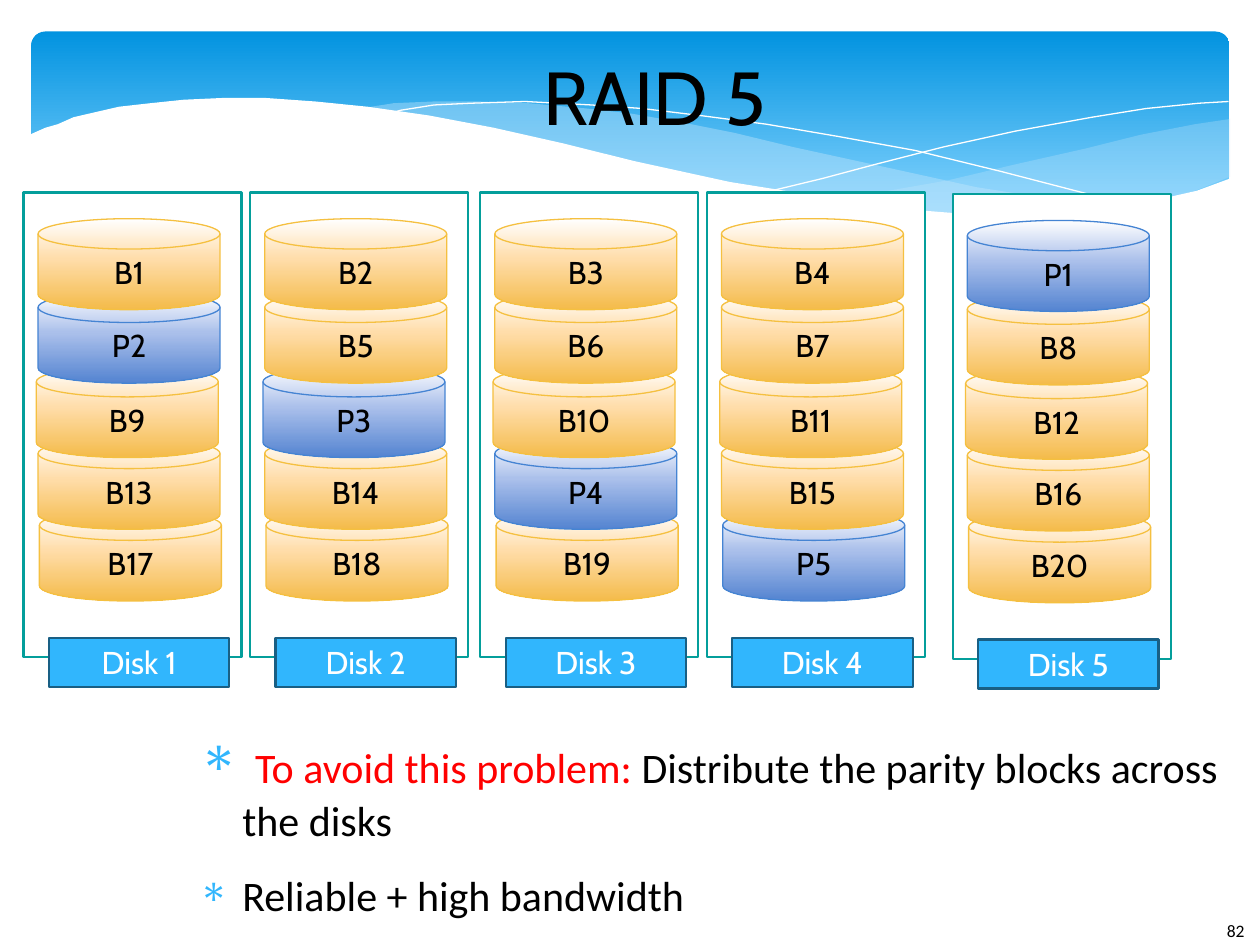
from lxml.etree import SubElement as Sub
from pptx import Presentation
from pptx.dml.color import RGBColor
from pptx.enum.shapes import MSO_SHAPE as Kind
from pptx.enum.text import MSO_ANCHOR as Anchor, PP_ALIGN as Align
from pptx.oxml.ns import qn
from pptx.util import Pt

rgb = RGBColor.from_string

deck = Presentation()
deck.slide_width, deck.slide_height = Pt(720), Pt(540)
slide = deck.slides.add_slide(deck.slide_layouts[6])
shapes = slide.shapes


def add(kind, x, y, w, h, fill, line=None, width=1.25, text="", ink="000000"):
    """Add a shape; fill is a hex string or a list of (percent, hex) stops."""
    box = shapes.add_shape(kind, Pt(x), Pt(y), Pt(w), Pt(h))
    box.shadow.inherit = False
    if isinstance(fill, str):
        box.fill.solid()
        box.fill.fore_color.rgb = rgb(fill)
    else:
        box.fill.gradient()
        box.fill.gradient_angle = 270
        stops = box.element.spPr.find(".//" + qn("a:gsLst"))
        stops.clear()
        for pos, tint in fill:
            stop = Sub(stops, qn("a:gs"), pos=str(pos * 1000))
            Sub(stop, qn("a:srgbClr"), val=tint)
    if line:
        box.line.color.rgb = rgb(line)
        box.line.width = Pt(width)
    else:
        box.line.fill.background()
    if text:
        frame = box.text_frame
        frame.vertical_anchor = Anchor.MIDDLE
        para = frame.paragraphs[0]
        para.text, para.alignment = text, Align.CENTER
        para.font.name, para.font.size = "Cabin", Pt(18)
        para.font.color.rgb = rgb(ink)
    return box


def write(x, y, w, h, inset=0):
    """Add an empty wrapping text box and return its frame."""
    frame = shapes.add_textbox(Pt(x), Pt(y), Pt(w), Pt(h)).text_frame
    frame.word_wrap = True
    frame.margin_left = frame.margin_right = Pt(inset)
    frame.margin_top = frame.margin_bottom = Pt(inset / 2)
    return frame


# Banner: blue panel, then waves as (points, fill, opacity in percent)
panel = add(Kind.ROUNDED_RECTANGLE, 18, 18, 684.5, 112.5,
            [(0, "0293E0"), (90, "83D3FE")])
panel.adjustments[0] = 0.07

waves = [
    ([(703, 68), (683, 71), (652, 77), (620, 85), (580, 94), (542, 103),
      (508, 109), (476, 115), (508, 119), (536, 122), (562, 124), (586, 124),
      (615, 122), (640, 120), (663, 115), (683, 109), (703, 101)],
     "C6E7FC", 29),
    ([(643, 120), (603, 114), (558, 107), (508, 96), (453, 84), (420, 76),
      (390, 70), (361, 65), (335, 62), (302, 59), (274, 58), (248, 58),
      (225, 59), (206, 62), (233, 65), (261, 70), (291, 76), (323, 84),
      (382, 97), (420, 105), (456, 112), (490, 117), (520, 121), (548, 123),
      (581, 125), (611, 124)], "C6E7FC", 40),
    ([(222, 65), (229, 63), (248, 60), (269, 59), (300, 58), (338, 60),
      (367, 62), (400, 66), (438, 71), (479, 78), (523, 86), (572, 98),
      (626, 112), (653, 120)], None, 0),
    ([(441, 109), (470, 102), (500, 94), (539, 84), (580, 75), (624, 67),
      (655, 62), (685, 59), (702, 58)], None, 0),
    ([(703, 102), (684, 109), (662, 114), (639, 120), (612, 122), (582, 123),
      (548, 122), (510, 119), (467, 112), (417, 104), (362, 92), (322, 82),
      (282, 73), (245, 66), (210, 61), (180, 58), (152, 56), (127, 56),
      (105, 57), (86, 59), (68, 61), (55, 64), (42, 67), (33, 71), (26, 73),
      (17, 77), (17, 161), (703, 161)], "FFFFFF", 100),
]
for dots, fill, alpha in waves:
    pen = shapes.build_freeform(*dots[0], scale=Pt(1))
    pen.add_line_segments(dots[1:], close=fill is not None)
    wave = pen.convert_to_shape()
    wave.shadow.inherit = False
    if fill:
        wave.fill.solid()
        wave.fill.fore_color.rgb = rgb(fill)
        wave.line.fill.background()
        tint = wave.element.spPr.find(".//" + qn("a:srgbClr"))
        Sub(tint, qn("a:alpha"), val=str(alpha * 1000))
    else:
        wave.fill.background()
        wave.line.color.rgb = rgb("FFFFFF")
        wave.line.width = Pt(0)

# Disks: each row holds four data blocks and one parity block
count = 5
lefts = [13.5, 143, 274.5, 404, 544.5]
tops = [110, 110, 110, 110, 111]
rows = [(8.25, 15), (8.25, 57), (7.25, 99.5), (8.25, 140.5), (9, 181.5)]
data = [(0, "FFFFFF"), (44, "FFDDAA"), (100, "F4BB4A")], "F5C040"
parity = [(0, "FFFFFF"), (44, "ABC0EB"), (100, "5484D1")], "4584D3"

for disk, (left, top) in enumerate(zip(lefts, tops)):
    add(Kind.FLOWCHART_PROCESS, left, top, 124.5, 265.5, "FFFFFF", "049E9B")
    for row in reversed(range(count)):
        dx, dy = rows[row]
        spot = (row - 1) % count
        if disk == spot:
            name, (fill, line) = f"P{row + 1}", parity
        else:
            num = row * (count - 1) + disk + 1 - (disk > spot)
            name, (fill, line) = f"B{num}", data
        add(Kind.FLOWCHART_MAGNETIC_DISK, left + dx, top + dy, 104, 52,
            fill, line, 0.75, name)
    add(Kind.FLOWCHART_PROCESS, left + 14.5, top + 254.5, 103, 28,
        "31B6FD", "195F84", text=f"Disk {disk + 1}", ink="FFFFFF")

# Title
frame = write(82, 18, 584, 73.5)
frame.vertical_anchor = Anchor.MIDDLE
para = frame.paragraphs[0]
para.text, para.alignment = "RAID 5", Align.CENTER
para.font.name, para.font.size = "Cabin", Pt(42.9)
para.font.color.rgb = rgb("000000")

# Points
points = [
    [(" ", 32, "000000"), ("To avoid this problem: ", 24, "FF0000"),
     ("Distribute the parity blocks across\vthe disks", 24, "000000")],
    [("Reliable + high bandwidth", 24, "000000")],
]
frame = write(104.5, 415.5, 631, 108.5)
for i, parts in enumerate(points):
    para = frame.add_paragraph() if i else frame.paragraphs[0]
    props = para._p.get_or_add_pPr()
    props.set("marL", str(Pt(34)))
    props.set("indent", str(Pt(-25)))
    Sub(Sub(props, qn("a:buClr")), qn("a:srgbClr"), val="31B6FD")
    Sub(props, qn("a:buChar"), char="∗")
    para.space_after = Pt(14.1)
    para.font.name = "Calibri"
    for text, size, ink in parts:
        for j, piece in enumerate(text.split("\v")):
            if j:
                para.add_line_break()
            run = para.add_run()
            run.text = piece
            run.font.size = Pt(size)
            run.font.color.rgb = rgb(ink)

# Page number
para = write(694, 522, 44, 29, 7.2).paragraphs[0]
para.text = "82"
para.font.name, para.font.size = "Calibri", Pt(10)
para.font.color.rgb = rgb("000000")

deck.save("out.pptx")
